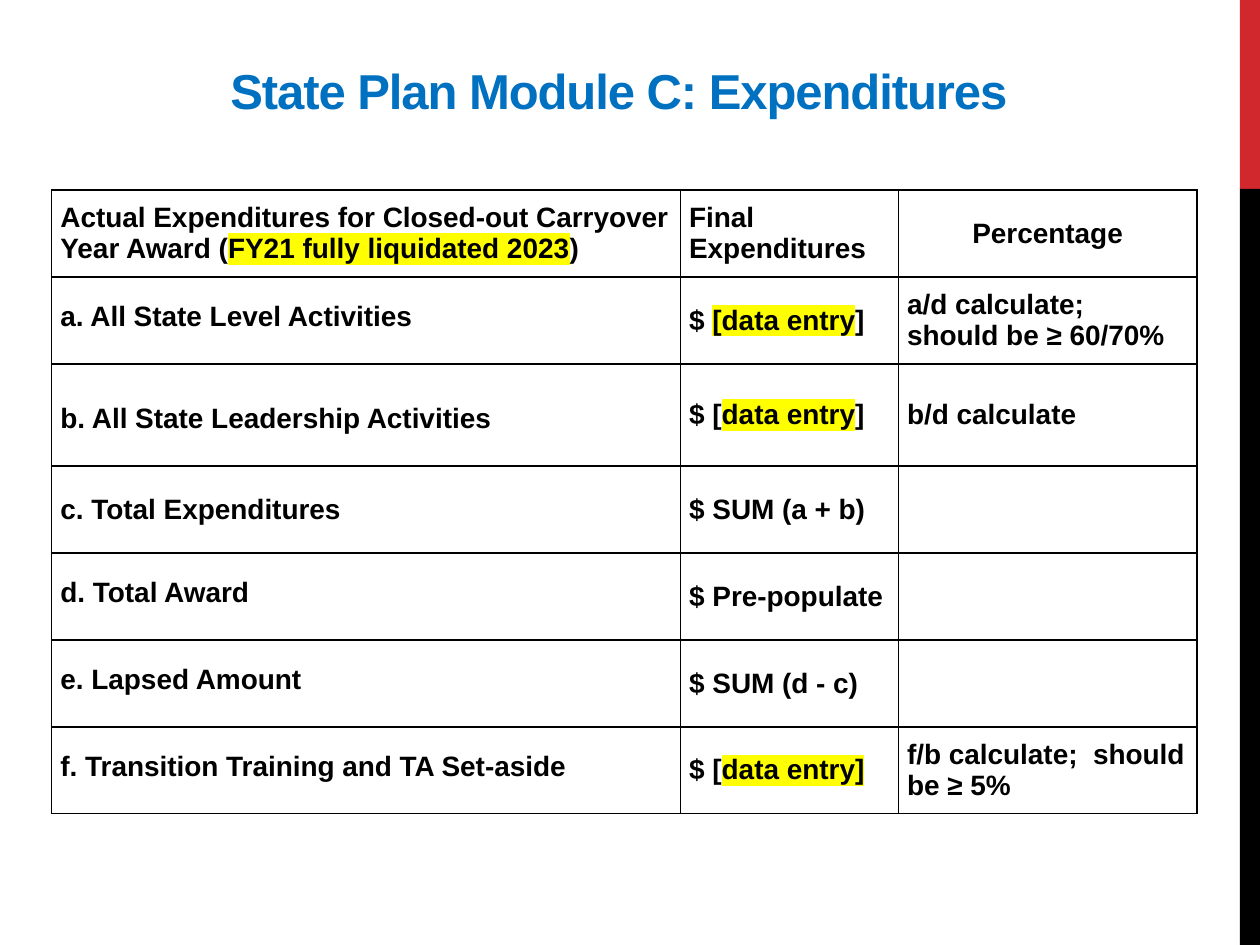
from lxml.etree import SubElement
from pptx import Presentation
from pptx.dml.color import RGBColor
from pptx.enum.shapes import MSO_SHAPE
from pptx.enum.text import MSO_ANCHOR as ANCHOR, PP_ALIGN as ALIGN
from pptx.oxml.ns import qn
from pptx.util import Inches, Pt

TITLE = "State Plan Module C: Expenditures "
BLACK, BLUE, RED, YELLOW = "000000", "0070C0", "D1282E", "FFFF00"
SIDE_BARS = [(0, 1.5, RED), (1.5, 6, BLACK)]  # top, height, colour

# Every second part between bars is highlighted.
ROWS = [
    ("Actual Expenditures for Closed-out Carryover Year Award (|FY21 fully liquidated 2023|)",
     "Final Expenditures", "Percentage"),
    ("a. All State Level Activities", "$ |[data entry|]", "a/d calculate;  should be ≥ 60/70%"),
    ("b. All State Leadership Activities", "$ [|data entry|]", "b/d calculate"),
    ("c. Total Expenditures", "$ SUM (a + b)", ""),
    ("d. Total Award", "$ Pre-populate", ""),
    ("e. Lapsed Amount", "$ SUM (d - c)", ""),
    ("f. Transition Training and TA Set-aside", "$ [|data entry]", "f/b calculate;  should be ≥ 5%"),
]
COL_WIDTHS = [4.99, 1.73, 2.37]
ROW_HEIGHTS = [0.69, 0.69, 0.81, 0.69, 0.69, 0.69, 0.69]
RAISED_ROWS = {1, 2, 4, 5, 6}  # first-column label sits one line above the cell bottom


def rgb(color):
    return RGBColor.from_string(color)


def add_run(p, text, size, color, highlight=None):
    r = p.add_run()
    r.text = text
    r.font.color.rgb = rgb(color)
    for name, value in {"name": "Arial", "size": Pt(size), "bold": True}.items():
        setattr(r.font, name, value)
    rPr = r._r.get_or_add_rPr()
    if highlight:
        mark = SubElement(rPr, qn("a:highlight"))
        SubElement(mark, qn("a:srgbClr"), val=highlight)
        rPr.find(qn("a:solidFill")).addnext(mark)
    return rPr


def add_borders(cell):
    tcPr = cell._tc.get_or_add_tcPr()
    for side in ("lnL", "lnR", "lnT", "lnB"):
        ln = SubElement(tcPr, qn(f"a:{side}"), w=str(Pt(1)))
        fill = SubElement(ln, qn("a:solidFill"))
        SubElement(fill, qn("a:srgbClr"), val=BLACK)


def fill_cell(cell, text, row, col):
    raised = col == 0 and row in RAISED_ROWS
    add_borders(cell)
    cell.fill.background()
    layout = {
        "margin_left": Inches(0.07), "margin_right": Inches(0.07), "margin_top": 0,
        "margin_bottom": Inches(0.25 if raised else 0),
        "vertical_anchor": ANCHOR.BOTTOM if raised else ANCHOR.MIDDLE,
    }
    for name, value in layout.items():
        setattr(cell, name, value)
    p = cell.text_frame.paragraphs[0]
    p.alignment = ALIGN.CENTER if (row, col) == (0, 2) else ALIGN.LEFT
    if text:
        for i, part in enumerate(text.split("|")):
            add_run(p, part, 16, BLACK, YELLOW if i % 2 else None)


prs = Presentation()
prs.slide_width, prs.slide_height = Inches(10), Inches(7.5)
s = prs.slides.add_slide(prs.slide_layouts[6])

for top, height, color in SIDE_BARS:
    bar = s.shapes.add_shape(MSO_SHAPE.RECTANGLE, Inches(9.84), Inches(top), Inches(0.16), Inches(height))
    bar.shadow.inherit = False
    bar.fill.solid()
    bar.fill.fore_color.rgb = rgb(color)
    bar.line.fill.background()

title = s.shapes.add_textbox(Inches(0.42), Inches(0.35), Inches(9.08), Inches(0.65))
tf = title.text_frame
tf.word_wrap = True
tf.vertical_anchor = ANCHOR.BOTTOM
p = tf.paragraphs[0]
for name, value in {"alignment": ALIGN.CENTER, "space_before": Pt(6), "space_after": Pt(12)}.items():
    setattr(p, name, value)
add_run(p, TITLE, 28, BLUE).set("spc", "-60")

table = s.shapes.add_table(len(ROWS), len(COL_WIDTHS), Inches(0.41), Inches(1.51),
                           Inches(sum(COL_WIDTHS)), Inches(sum(ROW_HEIGHTS))).table
table.first_row = table.horz_banding = False
for column, width in zip(table.columns, COL_WIDTHS):
    column.width = Inches(width)
for i, (texts, height) in enumerate(zip(ROWS, ROW_HEIGHTS)):
    table.rows[i].height = Inches(height)
    for j, text in enumerate(texts):
        fill_cell(table.cell(i, j), text, i, j)

prs.save("out.pptx")
